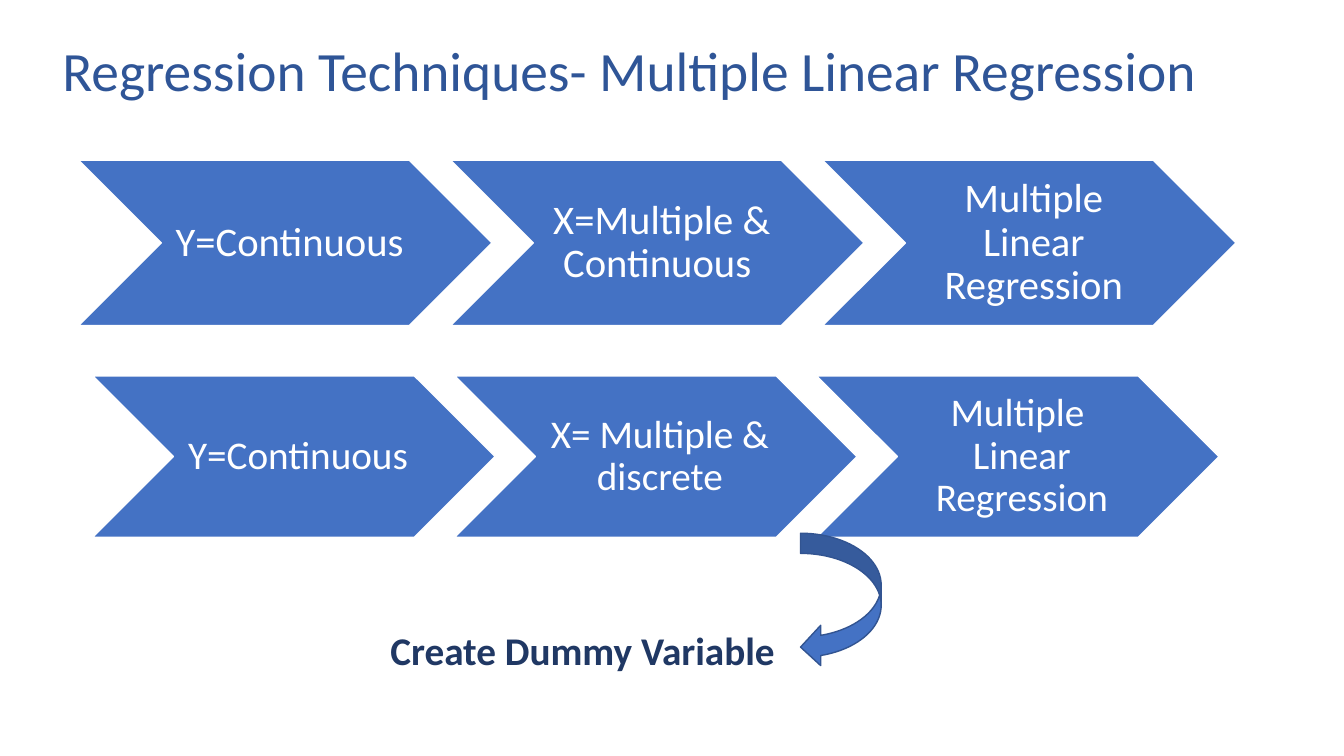
from pptx import Presentation
from pptx.dml.color import RGBColor
from pptx.enum.shapes import MSO_SHAPE
from pptx.enum.text import MSO_ANCHOR, PP_ALIGN
from pptx.util import Inches, Pt

CHEVRON, CURVED_ARROW = MSO_SHAPE.CHEVRON, MSO_SHAPE.CURVED_LEFT_ARROW
TOP, MIDDLE = MSO_ANCHOR.TOP, MSO_ANCHOR.MIDDLE
LEFT, CENTER, RIGHT = PP_ALIGN.LEFT, PP_ALIGN.CENTER, PP_ALIGN.RIGHT
BLUE, ARROW_EDGE, WHITE = "4472C4", "325491", "FFFFFF"
TITLE_BLUE, NAVY = "2F5597", "203864"

CHEVRON_ROWS = [
    {"left": 0.78, "top": 1.59, "width": 4.1, "height": 1.64, "pitch": 3.69,
     "size": 29, "inset": 0.13,
     "steps": ["Y=Continuous", "X=Multiple & Continuous ",
               "Multiple Linear Regression"]},
    {"left": 0.92, "top": 3.73, "width": 3.99, "height": 1.6, "pitch": 3.59,
     "size": 28, "inset": 0.12,
     "steps": ["Y=Continuous", "X= Multiple & discrete",
               "Multiple  Linear Regression"]},
]


def color(value):
    """Return the colour for a hex string."""
    return RGBColor.from_string(value)


def set_attributes(target, values):
    """Set each named attribute of the target."""
    for name, value in values.items():
        setattr(target, name, value)


def write_text(shape, text, size, text_color, frame_format, paragraph_format, bold=False):
    """Write one formatted paragraph into a shape."""
    frame = shape.text_frame
    set_attributes(frame, {"word_wrap": True, **frame_format})
    paragraph = frame.paragraphs[0]
    set_attributes(paragraph, paragraph_format)
    run = paragraph.add_run()
    run.text = text
    set_attributes(run.font, {"name": "Calibri", "size": Pt(size), "bold": bold})
    run.font.color.rgb = color(text_color)


def add_text_box(slide, box, *text_arguments, **text_options):
    """Add a text box holding one paragraph."""
    shape = slide.shapes.add_textbox(*map(Inches, box))
    write_text(shape, *text_arguments, **text_options)


def add_filled_shape(slide, kind, box, line_color):
    """Add a blue preset shape with a thin outline."""
    shape = slide.shapes.add_shape(kind, *map(Inches, box))
    shape.shadow.inherit = False
    shape.fill.solid()
    shape.fill.fore_color.rgb = color(BLUE)
    shape.line.color.rgb = color(line_color)
    shape.line.width = Pt(1)
    return shape


def add_chevron_row(slide, row):
    """Add a row of evenly spaced chevrons with their steps."""
    frame_format = {"vertical_anchor": MIDDLE, "margin_left": Inches(row["inset"])}
    for side in ("right", "top", "bottom"):
        frame_format[f"margin_{side}"] = Inches(0.04)
    for index, step in enumerate(row["steps"]):
        box = (row["left"] + index * row["pitch"], row["top"],
               row["width"], row["height"])
        chevron = add_filled_shape(slide, CHEVRON, box, WHITE)
        write_text(chevron, step, row["size"], WHITE, frame_format,
                   {"alignment": CENTER, "line_spacing": 0.9})


def main():
    """Build and save the slide."""
    presentation = Presentation()
    set_attributes(presentation, {"slide_width": Inches(13.33),
                                  "slide_height": Inches(7.5)})
    slide = presentation.slides.add_slide(presentation.slide_layouts[6])
    add_text_box(slide, (0.52, 0.4, 11.89, 0.66),
                 "Regression Techniques- Multiple Linear Regression", 39.6, TITLE_BLUE,
                 {"vertical_anchor": MIDDLE}, {"alignment": LEFT, "line_spacing": 0.9})
    for row in CHEVRON_ROWS:
        add_chevron_row(slide, row)
    add_filled_shape(slide, CURVED_ARROW, (7.94, 5.29, 0.8, 1.33), ARROW_EDGE)
    add_text_box(slide, (3.57, 6.16, 4.21, 0.57), "Create Dummy Variable", 28, NAVY,
                 {"vertical_anchor": TOP}, {"alignment": RIGHT}, bold=True)
    presentation.save("out.pptx")


if __name__ == "__main__":
    main()
